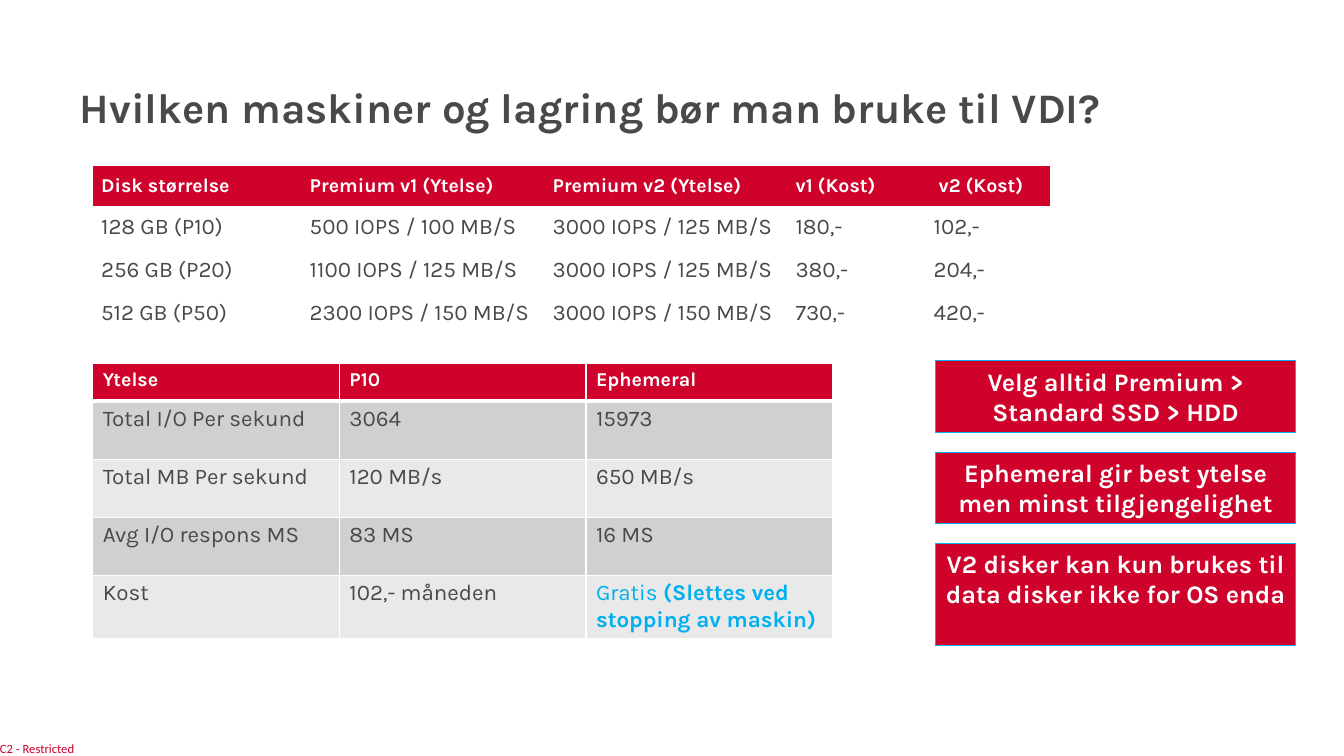
from dataclasses import dataclass

import lxml.etree
import pptx
import pptx.dml.color
import pptx.enum.shapes
import pptx.enum.text
import pptx.oxml.ns
import pptx.util

WIDE, HIGH = 13.333, 7.5
COLS, ROWS = 160, 90
RED, GREY, WHITE, BLUE = "CF022B", "494949", "FFFFFF", "00B0F0"
DARK, LIGHT = "D0D0D0", "E9E9E9"
PLAIN = "{2D5ABB26-0587-4C30-8999-92F81FD0307C}"
TOP = pptx.enum.text.MSO_ANCHOR.TOP
MIDDLE = pptx.enum.text.MSO_ANCHOR.MIDDLE
LEFT = pptx.enum.text.PP_ALIGN.LEFT
CENTER = pptx.enum.text.PP_ALIGN.CENTER


@dataclass(frozen=True)
class Run:
    text: str
    size: float = 16
    color: str = GREY
    bold: bool = False
    font: str = "Karla"


@dataclass(frozen=True)
class Box:
    left: float
    top: float
    wide: float
    high: float


@dataclass(frozen=True)
class Grid:
    left: float
    top: float
    cols: list[float]
    rows: list[float]
    cells: list[list[str | list[Run]]]
    bands: list[str]
    anchor: pptx.enum.text.MSO_ANCHOR
    pad: tuple[float, float]
    lines: bool


@dataclass(frozen=True)
class Note:
    text: str
    high: float


DISKS = Grid(
    11.04, 19.8, [24.84, 28.92, 28.92, 16.44, 14.88], [4.64] + [5.12] * 3,
    [
        ["Disk størrelse", "Premium v1 (Ytelse)", "Premium v2 (Ytelse)", "v1 (Kost)", " v2 (Kost)"],
        ["128 GB (P10)", "500 IOPS / 100 MB/S", "3000 IOPS / 125 MB/S", "180,-", "102,-"],
        ["256 GB (P20)", "1100 IOPS / 125 MB/S", "3000 IOPS / 125 MB/S", "380,-", "204,-"],
        ["512 GB (P50)", "2300 IOPS / 150 MB/S", "3000 IOPS / 150 MB/S", "730,-", "420,-"],
    ],
    [WHITE, WHITE], MIDDLE, (1, 1), False,
)

SPEED = Grid(
    11.04, 43.32, [29.36] * 3, [4.44] + [6.92] * 3 + [7.5],
    [
        ["Ytelse", "P10", "Ephemeral"],
        ["Total I/O Per sekund", "3064", "15973"],
        ["Total MB Per sekund", "120 MB/s", "650 MB/s"],
        ["Avg I/O respons MS", "83 MS", "16 MS"],
        ["Kost", "102,- måneden", [
            Run("Gratis", color=BLUE),
            Run(" (Slettes ved stopping av maskin)", color=BLUE, bold=True),
        ]],
    ],
    [DARK, LIGHT], TOP, (1.2, 0.6), True,
)

NOTES = [
    Note("Velg alltid Premium > Standard SSD > HDD", 8.52),
    Note("Ephemeral gir best ytelse men minst tilgjengelighet", 8.52),
    Note("V2 disker kan kun brukes til data disker ikke for OS enda", 12.12),
]


def rgb(code: str) -> pptx.dml.color.RGBColor:
    return pptx.dml.color.RGBColor.from_string(code)


def across(cols: float) -> pptx.util.Inches:
    return pptx.util.Inches(cols * WIDE / COLS)


def down(rows: float) -> pptx.util.Inches:
    return pptx.util.Inches(rows * HIGH / ROWS)


def place(box: Box) -> tuple:
    return across(box.left), down(box.top), across(box.wide), down(box.high)


def write(frame, runs: list[Run], align=LEFT) -> None:
    para = frame.paragraphs[0]
    para.alignment = align
    for item in runs:
        run = para.add_run()
        run.text = item.text
        run.font.name = item.font
        run.font.size = pptx.util.Pt(item.size)
        run.font.bold = item.bold
        run.font.color.rgb = rgb(item.color)


def inset(frame, side: float, edge: float) -> None:
    frame.margin_left = frame.margin_right = across(side)
    frame.margin_top = frame.margin_bottom = down(edge)


def edge(cell, side: str, width: float) -> None:
    name = pptx.oxml.ns.qn
    props = cell._tc.get_or_add_tcPr()
    line = lxml.etree.SubElement(props, name(f"a:ln{side}"), w=str(pptx.util.Pt(width)))
    fill = lxml.etree.SubElement(line, name("a:solidFill"))
    lxml.etree.SubElement(fill, name("a:srgbClr"), val=WHITE)


def draw_grid(slide, grid: Grid) -> None:
    box = Box(grid.left, grid.top, sum(grid.cols), sum(grid.rows))
    table = slide.shapes.add_table(len(grid.rows), len(grid.cols), *place(box)).table
    table._tbl.tblPr.find(pptx.oxml.ns.qn("a:tableStyleId")).text = PLAIN
    for col, wide in zip(table.columns, grid.cols):
        col.width = across(wide)
    for row, high in zip(table.rows, grid.rows):
        row.height = down(high)
    for r, line in enumerate(grid.cells):
        for c, value in enumerate(line):
            cell = table.cell(r, c)
            if grid.lines:
                for side in "LRTB":
                    thick = (r, side) in ((0, "B"), (1, "T"))
                    edge(cell, side, 3 if thick else 1)
            cell.fill.solid()
            cell.fill.fore_color.rgb = rgb(grid.bands[(r - 1) % 2] if r else RED)
            cell.vertical_anchor = grid.anchor
            inset(cell, *grid.pad)
            head = Run(value, 14, WHITE, True) if r == 0 else None
            runs = value if isinstance(value, list) else [head or Run(value)]
            write(cell.text_frame, runs)


def draw_note(slide, note: Note, box: Box) -> None:
    shape = slide.shapes.add_shape(pptx.enum.shapes.MSO_SHAPE.RECTANGLE, *place(box))
    shape.shadow.inherit = False
    shape.fill.solid()
    shape.fill.fore_color.rgb = rgb(RED)
    shape.line.color.rgb = rgb(BLUE)
    shape.line.width = pptx.util.Pt(0.75)
    frame = shape.text_frame
    frame.word_wrap = True
    frame.vertical_anchor = TOP
    inset(frame, 1.2, 0.6)
    write(frame, [Run(note.text, 18, WHITE, True)], CENTER)


def draw_title(slide, text: str, box: Box) -> None:
    title = slide.shapes.title
    title.left, title.top, title.width, title.height = place(box)
    frame = title.text_frame
    frame.auto_size = pptx.enum.text.MSO_AUTO_SIZE.NONE
    frame.vertical_anchor = TOP
    inset(frame, 0, 0)
    write(frame, [Run(text, 30, bold=True)])
    frame.paragraphs[0].line_spacing = 1.0


def draw_label(slide, text: str, box: Box) -> None:
    frame = slide.shapes.add_textbox(*place(box)).text_frame
    frame.word_wrap = False
    inset(frame, 0, 0)
    write(frame, [Run(text, 9, RED, font="Calibri")])


def main() -> None:
    deck = pptx.Presentation()
    deck.slide_width = pptx.util.Inches(WIDE)
    deck.slide_height = pptx.util.Inches(HIGH)
    slide = deck.slides.add_slide(deck.slide_layouts[5])
    draw_title(slide, "Hvilken maskiner og lagring bør man bruke til VDI?", Box(9.48, 9.72, 141.12, 7.2))
    draw_grid(slide, DISKS)
    draw_grid(slide, SPEED)
    for i, note in enumerate(NOTES):
        draw_note(slide, note, Box(111.4, 42.96 + 10.86 * i, 42.84, note.high))
    draw_label(slide, "C2 - Restricted", Box(0, 88.2, 9.24, 1.8))
    deck.save("out.pptx")


if __name__ == "__main__":
    main()
